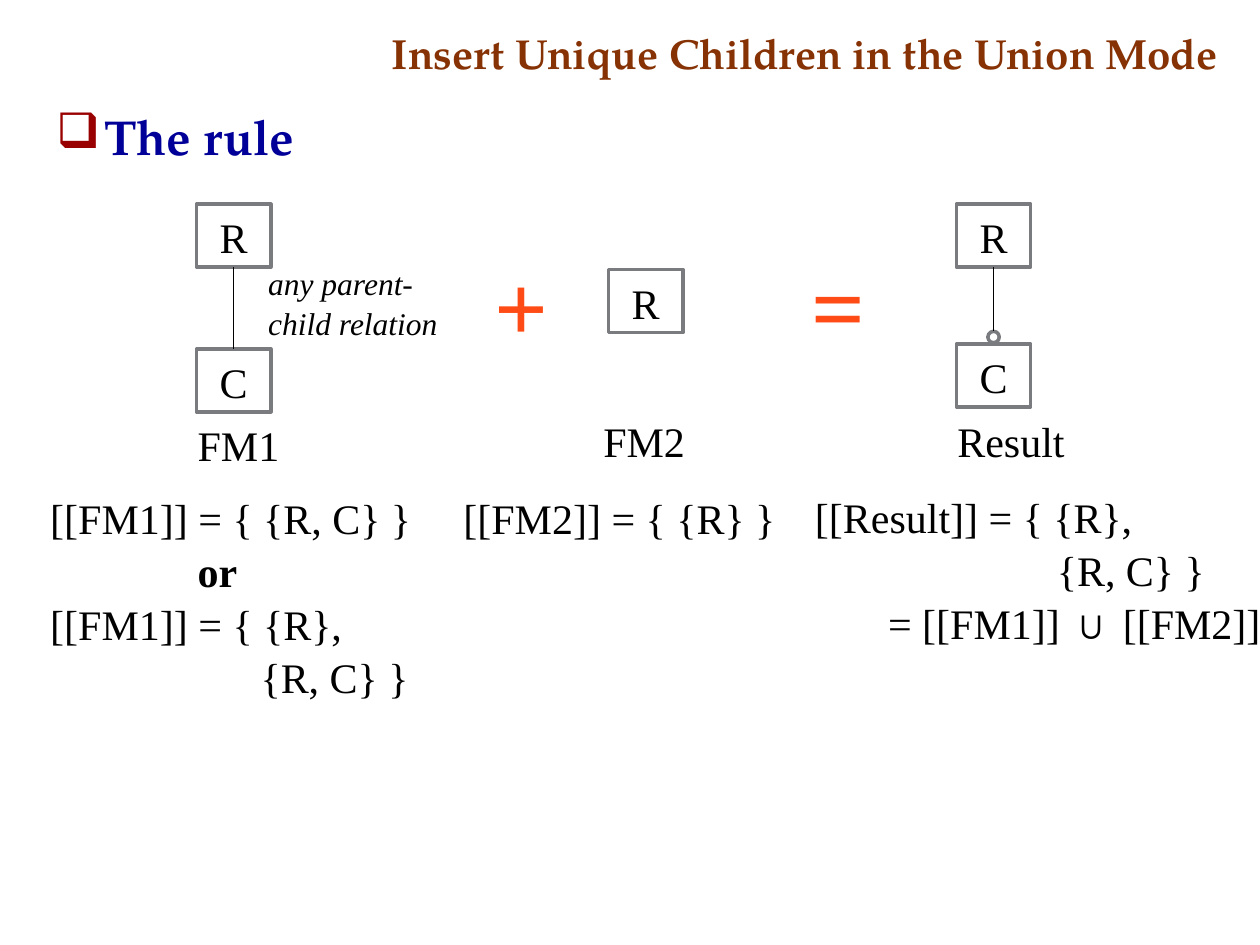
from lxml import etree
from pptx import Presentation
from pptx.dml.color import RGBColor
from pptx.enum.shapes import MSO_CONNECTOR, MSO_SHAPE
from pptx.enum.text import MSO_ANCHOR, MSO_AUTO_SIZE, PP_ALIGN
from pptx.oxml.ns import qn
from pptx.util import Inches, Pt

RECTANGLE, OVAL = MSO_SHAPE.RECTANGLE, MSO_SHAPE.OVAL
STRAIGHT = MSO_CONNECTOR.STRAIGHT
LEFT, CENTER = PP_ALIGN.LEFT, PP_ALIGN.CENTER
TOP, MIDDLE, BOTTOM = MSO_ANCHOR.TOP, MSO_ANCHOR.MIDDLE, MSO_ANCHOR.BOTTOM
NO_FIT = MSO_AUTO_SIZE.NONE
SITE_TOP, SITE_BOTTOM = 0, 2

BLACK = RGBColor(0x00, 0x00, 0x00)
WHITE = RGBColor(0xFF, 0xFF, 0xFF)
GRAY = RGBColor(0x79, 0x7B, 0x7E)
BROWN = RGBColor(0x86, 0x32, 0x04)
NAVY = RGBColor(0x00, 0x00, 0x99)
DARK_RED = RGBColor(0x99, 0x00, 0x00)
ORANGE = RGBColor(0xFF, 0x4C, 0x16)

HEADING_FONT = "TeX Gyre Pagella"
BODY_FONT = "Times New Roman"
NODE_W, NODE_H = 0.59, 0.5
CIRCLE = 0.09


def write(frame, lines, size=24, color=BLACK, font=BODY_FONT, bold=False,
          italic=False, align=LEFT, anchor=TOP, wrap=False, spacing=1.05):
    """Fill a frame; each line is a text or a (text, indent, bold) tuple."""
    frame.word_wrap = wrap
    frame.auto_size = NO_FIT
    frame.vertical_anchor = anchor
    for index, line in enumerate(lines):
        text, indent, line_bold = line if isinstance(line, tuple) else (line, 0, bold)
        paragraph = frame.paragraphs[0] if index == 0 else frame.add_paragraph()
        paragraph.alignment = align
        paragraph.line_spacing = spacing
        if indent:
            paragraph._p.get_or_add_pPr().set("marL", str(Inches(indent)))
        run = paragraph.add_run()
        run.text = text
        run.font.name = font
        run.font.size = Pt(size)
        run.font.bold = line_bold
        run.font.italic = italic
        run.font.color.rgb = color


class RuleSlide:
    def __init__(self, presentation):
        self.slide = presentation.slides.add_slide(presentation.slide_layouts[5])
        self.shapes = self.slide.shapes

    def title(self, text, left, top, width, height):
        title = self.shapes.title
        title.left, title.top = Inches(left), Inches(top)
        title.width, title.height = Inches(width), Inches(height)
        write(title.text_frame, [text], color=BROWN, font=HEADING_FONT,
              bold=True, anchor=BOTTOM, wrap=True, spacing=1.0)

    def text(self, lines, left, top, width, height, **style):
        box = self.shapes.add_textbox(Inches(left), Inches(top),
                                      Inches(width), Inches(height))
        write(box.text_frame, lines, **style)
        return box

    def bullet(self, text, left, top, width, height):
        box = self.text([], left, top, width, height)
        properties = box.text_frame.paragraphs[0]._p.get_or_add_pPr()
        properties.set("marL", str(Inches(0.38)))
        properties.set("indent", str(Inches(-0.38)))
        bullet_color = etree.SubElement(properties, qn("a:buClr"))
        etree.SubElement(bullet_color, qn("a:srgbClr"), val=str(DARK_RED))
        etree.SubElement(properties, qn("a:buChar"), char="❑")
        write(box.text_frame, [text], size=28, color=NAVY, font=HEADING_FONT,
              bold=True, wrap=True, spacing=1.0)

    def outline(self, kind, left, top, width, height):
        shape = self.shapes.add_shape(kind, Inches(left), Inches(top),
                                      Inches(width), Inches(height))
        shape.shadow.inherit = False
        shape.fill.solid()
        shape.fill.fore_color.rgb = WHITE
        shape.line.color.rgb = GRAY
        shape.line.width = Pt(2)
        return shape

    def node(self, label, left, top):
        node = self.outline(RECTANGLE, left, top, NODE_W, NODE_H)
        write(node.text_frame, [label], align=CENTER, anchor=MIDDLE)
        return node

    def relation(self, parent, child):
        line = self.shapes.add_connector(STRAIGHT, 0, 0, 0, 0)
        line.begin_connect(parent, SITE_BOTTOM)
        line.end_connect(child, SITE_TOP)
        line.line.color.rgb = BLACK
        line.line.width = Pt(0.75)
        etree.SubElement(line._element.spPr, qn("a:effectLst"))


def main():
    presentation = Presentation()
    presentation.slide_width, presentation.slide_height = Inches(10), Inches(7.5)
    rule = RuleSlide(presentation)

    # Headings
    rule.title("Insert Unique Children in the Union Mode", 3.01, 0.17, 6.84, 0.5)
    rule.bullet("The rule", 0.35, 0.8, 9.23, 5.7)

    # FM1: a parent with any kind of child
    fm1_root = rule.node("R", 1.56, 1.62)
    fm1_child = rule.node("C", 1.56, 2.77)
    rule.relation(fm1_root, fm1_child)
    rule.text(["any parent-child relation"], 2.03, 2.03, 1.68, 0.71,
              size=18, italic=True, wrap=True)

    # FM2: the parent alone
    rule.node("R", 4.83, 2.14)

    # Result: the child becomes optional
    result_left, result_child_top = 7.59, 2.73
    result_root = rule.node("R", result_left, 1.62)
    rule.node("C", result_left, result_child_top)
    optional_mark = rule.outline(OVAL, result_left + (NODE_W - CIRCLE) / 2,
                                 result_child_top - CIRCLE - 0.01, CIRCLE, CIRCLE)
    rule.relation(result_root, optional_mark)

    # Operators between the models
    for operator, left in (("+", 3.82), ("=", 6.34)):
        rule.text([operator], left, 1.87, 0.63, 1.01,
                  size=54, color=ORANGE, bold=True, align=CENTER)

    # Model names
    for name, left, top, width in (("FM1", 1.47, 3.26, 0.86),
                                   ("FM2", 4.69, 3.23, 0.86),
                                   ("Result", 7.5, 3.23, 1.06)):
        rule.text([name], left, top, width, 0.5)

    # Meaning of each model
    rule.text(["[[FM1]] = { {R, C} }", ("or", 1.17, True),
               "[[FM1]] = { {R},", ("{R, C} }", 1.67, False)],
              0.3, 3.84, 3.09, 1.72)
    rule.text(["[[FM2]] = { {R} }"], 3.58, 3.84, 2.7, 0.5)
    rule.text(["[[Result]] = { {R},", ("{R, C} }", 1.92, False),
               ("= [[FM1]] ∪ [[FM2]]", 0.58, False)],
              6.37, 3.83, 3.77, 1.31)

    presentation.save("out.pptx")


if __name__ == "__main__":
    main()
